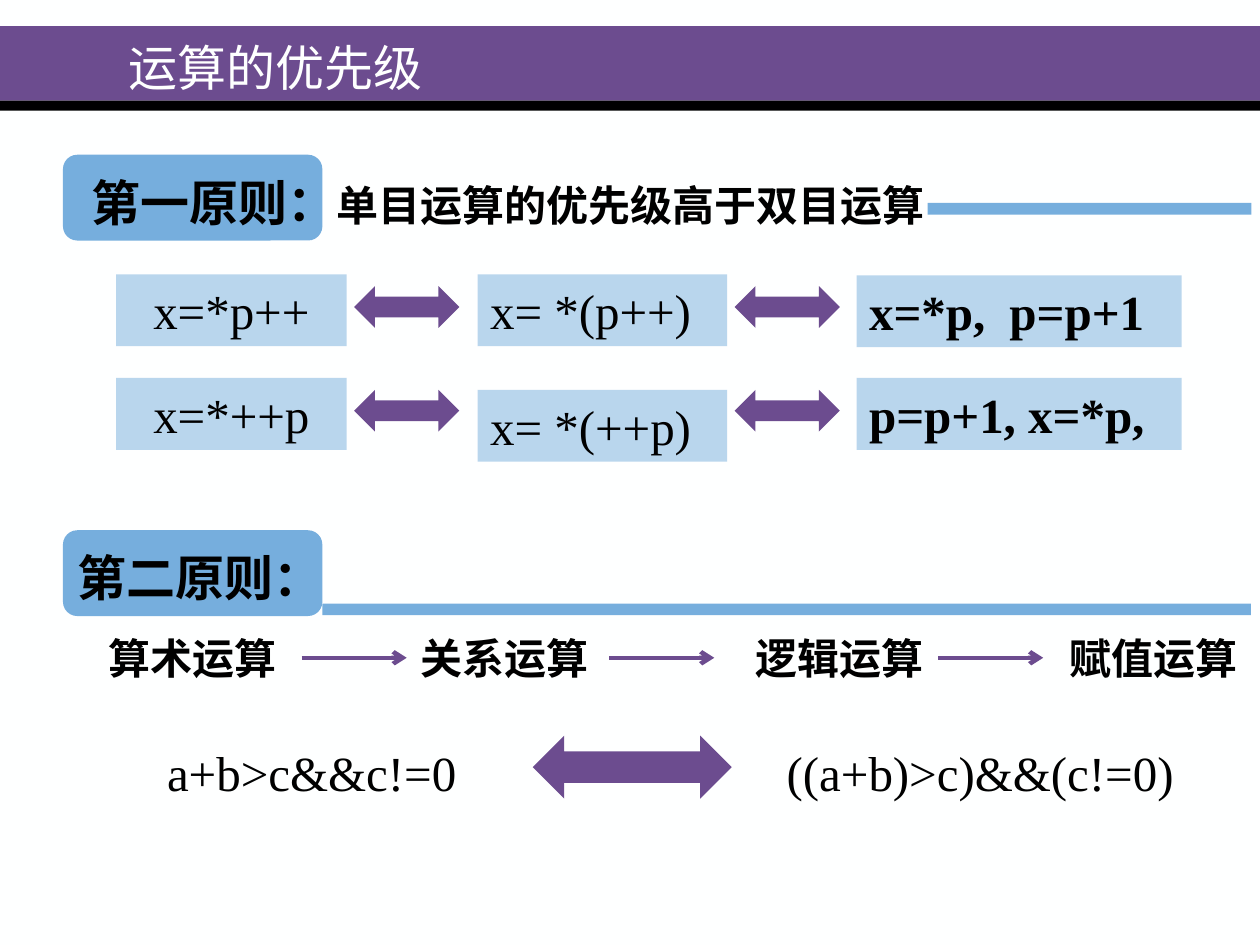
import lxml.etree
import pptx
import pptx.dml.color
import pptx.enum.shapes
import pptx.enum.text
import pptx.oxml.ns
import pptx.util

Cm = pptx.util.Cm
qn = pptx.oxml.ns.qn
Shape = pptx.enum.shapes.MSO_SHAPE
Anchor = pptx.enum.text.MSO_ANCHOR
Align = pptx.enum.text.PP_ALIGN

theme = {
    "font": "Times New Roman",
    "paper": pptx.dml.color.RGBColor.from_string("FEFFFF"),
    "ink": pptx.dml.color.RGBColor.from_string("000000"),
    "purple": pptx.dml.color.RGBColor.from_string("6C4C8F"),
    "blue": pptx.dml.color.RGBColor.from_string("76AEDD"),
    "large": pptx.util.Pt(28),
    "small": pptx.util.Pt(24),
    "line": pptx.util.Pt(2.5),
}

deck = pptx.Presentation()
deck.slide_width, deck.slide_height = Cm(25.4), Cm(19.05)
page = deck.slides.add_slide(deck.slide_layouts[6])
page.background.fill.solid()
page.background.fill.fore_color.rgb = theme["paper"]


def add_block(kind, place, color):
    block = page.shapes.add_shape(kind, *map(Cm, place))
    block.shadow.inherit = False
    block.fill.solid()
    block.fill.fore_color.rgb = theme[color]
    block.line.fill.background()
    return block


def write(box, pieces, bold=False, color="ink", align=Align.LEFT, anchor=Anchor.MIDDLE, wrap=False):
    frame = box.text_frame
    layout = {
        "word_wrap": wrap,
        "vertical_anchor": anchor,
        "margin_left": Cm(0.25),
        "margin_right": Cm(0.25),
        "margin_top": Cm(0.13),
        "margin_bottom": Cm(0.13),
    }
    for name, value in layout.items():
        setattr(frame, name, value)
    para = frame.paragraphs[0]
    para.alignment = align
    for text, size in pieces:
        span = para.add_run()
        span.text = text
        for name, value in {"name": theme["font"], "size": theme[size], "bold": bold}.items():
            setattr(span.font, name, value)
        span.font.color.rgb = theme[color]
    return para


add_block(Shape.RECTANGLE, (0, 0.53, 25.4, 1.5), "purple")
add_block(Shape.RECTANGLE, (0, 2.03, 25.4, 0.2), "ink")
title = page.shapes.add_textbox(Cm(2.34), Cm(0.71), Cm(17.78), Cm(1.27))
write(title, [("运算的优先级", "large")], color="paper", wrap=True)

principles = [
    (3.12, (1.6, 3.35, 17.3), (18.7, 4.09, 6.53, 0.24),
     [("第一原则：", "large"), ("单目运算的优先级高于双目运算", "small")]),
    (10.69, (1.32, 10.9, 5.44), (6.5, 12.17, 18.72, 0.23), [("第二原则：", "large")]),
]
for top, (text_left, text_top, width), rule, pieces in principles:
    add_block(Shape.ROUNDED_RECTANGLE, (1.27, top, 5.23, 1.73), "blue")
    add_block(Shape.RECTANGLE, rule, "blue")
    box = page.shapes.add_textbox(Cm(text_left), Cm(text_top), Cm(width), Cm(1.45))
    write(box, pieces, bold=True)

columns = [(2.34, 4.65, Align.CENTER, False), (9.63, 5.03, Align.LEFT, False), (17.27, 6.55, Align.LEFT, True)]
rows = [
    (5.77, (5.53, 5.53, 5.55), ("x=*p++", "x= *(p++)", "x=*p,\tp=p+1")),
    (7.86, (7.62, 7.86, 7.62), ("x=*++p", "x= *(++p)", "p=p+1, x=*p,")),
]
for arrow_top, tops, codes in rows:
    for (left, width, align, bold), top, code in zip(columns, tops, codes):
        block = add_block(Shape.RECTANGLE, (left, top, width, 1.45), "blue")
        color = block.element.spPr.find(".//" + qn("a:srgbClr"))
        lxml.etree.SubElement(color, qn("a:alpha"), val="50000")
        para = write(block, [(code, "large")], bold, align=align, anchor=Anchor.BOTTOM, wrap=True)
        if "\t" in code:
            stops = lxml.etree.SubElement(para._p.get_or_add_pPr(), qn("a:tabLst"))
            lxml.etree.SubElement(stops, qn("a:tab"), pos=str(Cm(2.83)), algn="l")
    for left in (7.14, 14.81):
        add_block(Shape.LEFT_RIGHT_ARROW, (left, arrow_top, 2.12, 0.84), "purple")

for left, label in [(1.93, "算术运算"), (8.23, "关系运算"), (14.99, "逻辑运算"), (21.31, "赋值运算")]:
    box = page.shapes.add_textbox(Cm(left), Cm(12.62), Cm(3.89), Cm(1.27))
    write(box, [(label, "small")], bold=True)

for left in (6.08, 12.28, 18.91):
    arrow = page.shapes.add_connector(
        pptx.enum.shapes.MSO_CONNECTOR.STRAIGHT, Cm(left), Cm(13.26), Cm(left + 2.12), Cm(13.26))
    arrow.line.color.rgb = theme["purple"]
    arrow.line.width = theme["line"]
    lxml.etree.SubElement(arrow.line._get_or_add_ln(), qn("a:tailEnd"), type="arrow")
    lxml.etree.SubElement(arrow._element.spPr, qn("a:effectLst"))

for left, width, code in [(2.26, 8.05, "a+b>c&&c!=0"), (15.19, 9.14, "((a+b)>c)&&(c!=0)")]:
    box = page.shapes.add_textbox(Cm(left), Cm(14.83), Cm(width), Cm(1.45))
    write(box, [(code, "large")], align=Align.CENTER, anchor=Anchor.BOTTOM, wrap=True)
add_block(Shape.LEFT_RIGHT_ARROW, (10.74, 14.83, 4.01, 1.27), "purple")

deck.save("out.pptx")
